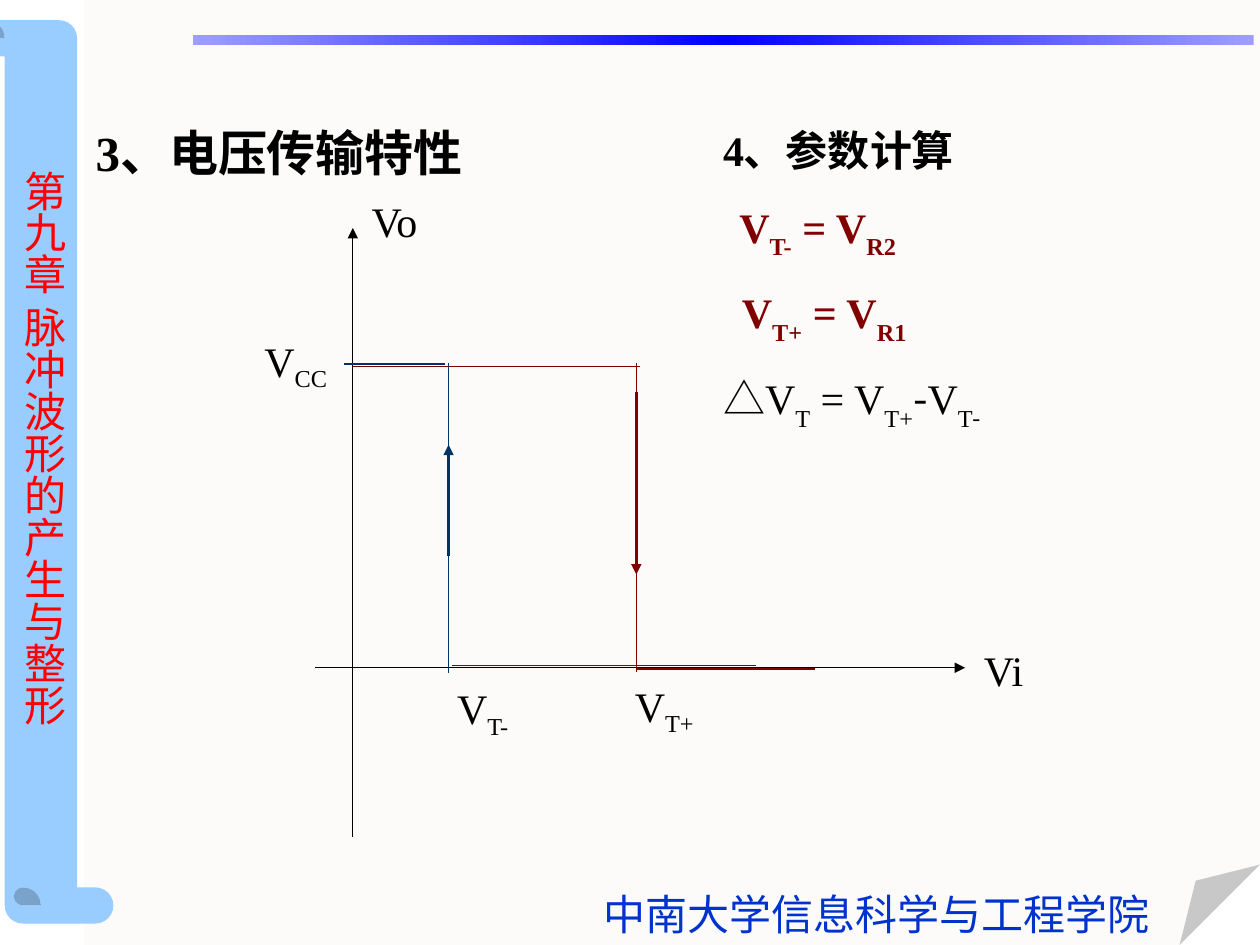
"""Build the voltage transfer characteristic slide."""
from copy import deepcopy
from dataclasses import dataclass
from typing import NamedTuple

from lxml import etree
from pptx import Presentation
from pptx.dml.color import RGBColor
from pptx.enum.shapes import MSO_CONNECTOR, MSO_SHAPE
from pptx.enum.text import MSO_ANCHOR, MSO_AUTO_SIZE, PP_ALIGN
from pptx.oxml.ns import qn
from pptx.util import Inches, Pt

STRAIGHT = MSO_CONNECTOR.STRAIGHT
RECT, FOLDED, SCROLL = MSO_SHAPE.RECTANGLE, MSO_SHAPE.FOLDED_CORNER, MSO_SHAPE.HORIZONTAL_SCROLL
LEFT, JUSTIFY = PP_ALIGN.LEFT, PP_ALIGN.JUSTIFY
TOP, GROW = MSO_ANCHOR.TOP, MSO_AUTO_SIZE.SHAPE_TO_FIT_TEXT
TIMES, NOTO = "Times New Roman", "Noto Sans CJK SC"
BLACK, MAROON, NAVY = "000000", "800000", "003366"


class Run(NamedTuple):
    text: str
    base: int = 0
    font: str = TIMES


@dataclass
class Para:
    runs: list[Run]
    size: float = 24
    color: str = BLACK
    bold: bool = False
    indent: float = 0
    before: float = 0
    align: PP_ALIGN = LEFT


@dataclass
class Label:
    at: tuple[float, float, float, float]
    paras: list[Para]
    wrap: bool = True
    vertical: bool = False


class Line(NamedTuple):
    start: tuple[float, float]
    end: tuple[float, float]
    color: str
    width: float = 0.75
    arrow: bool = False


def rgb(value: str) -> RGBColor:
    """Turn a hex string into a colour."""
    return RGBColor.from_string(value)


def add_panel(shapes, kind: MSO_SHAPE, at: tuple, color: str, adj: float | None = None, rotation: float = 0):
    """Add a filled shape without outline or shadow."""
    sp = shapes.add_shape(kind, *map(Inches, at))
    sp.shadow.inherit = False
    sp.fill.solid()
    sp.fill.fore_color.rgb = rgb(color)
    sp.line.fill.background()
    sp.rotation = rotation
    if adj is not None:
        guides = sp.element.spPr.find(".//" + qn("a:avLst"))
        guides[:] = []
        etree.SubElement(guides, qn("a:gd"), name="adj", fmla=f"val {round(adj * 100000)}")
    return sp


def set_gradient(sp, edge: str, middle: str) -> None:
    """Fill a shape from edge colour to middle colour and back."""
    sp.fill.gradient()
    sp.fill.gradient_angle = 0
    first = sp.element.spPr.find(".//" + qn("a:gs"))
    first.addnext(deepcopy(first))
    for stop, position, color in zip(sp.fill.gradient_stops, (0, 0.5, 1), (edge, middle, edge)):
        stop.position = position
        stop.color.rgb = rgb(color)


def write(tf, paras: list[Para], wrap: bool = True) -> None:
    """Write formatted paragraphs into a text frame."""
    frame = {"word_wrap": wrap, "auto_size": GROW, "vertical_anchor": TOP,
             "margin_left": Inches(0.1), "margin_right": Inches(0.1),
             "margin_top": Inches(0.05), "margin_bottom": Inches(0.05)}
    for name, value in frame.items():
        setattr(tf, name, value)
    for i, para in enumerate(paras):
        p = tf.add_paragraph() if i else tf.paragraphs[0]
        p.alignment = para.align
        p.line_spacing = 1.0
        p.space_before = Pt(para.before)
        if para.indent:
            p._p.get_or_add_pPr().set("marL", str(Inches(para.indent)))
        for run in para.runs:
            r = p.add_run()
            r.text = run.text
            for name, value in {"name": run.font, "size": Pt(para.size), "bold": para.bold}.items():
                setattr(r.font, name, value)
            r.font.color.rgb = rgb(para.color)
            rPr = r._r.get_or_add_rPr()
            rPr.find(qn("a:latin")).addnext(etree.Element(qn("a:ea"), typeface=NOTO))
            if run.base:
                rPr.set("baseline", str(run.base * 1000))


def add_label(shapes, label: Label) -> None:
    """Add a text box."""
    tf = shapes.add_textbox(*map(Inches, label.at)).text_frame
    write(tf, label.paras, label.wrap)
    if label.vertical:
        tf._txBody.bodyPr.set("vert", "eaVert")
        tf.margin_left = tf.margin_right = Inches(0.05)
        tf.margin_top = tf.margin_bottom = Inches(0.1)


def add_line(shapes, line: Line) -> None:
    """Add a straight line, with an arrowhead at its end when asked."""
    c = shapes.add_connector(STRAIGHT, *map(Inches, line.start + line.end))
    c.line.color.rgb = rgb(line.color)
    c.line.width = Pt(line.width)
    if line.arrow:
        etree.SubElement(c.element.spPr.find(qn("a:ln")), qn("a:tailEnd"), type="triangle")
    etree.SubElement(c.element.spPr, qn("a:effectLst"))


def symbol(sub: str, base: int = -25, lead: str = "V") -> list[Run]:
    """Return a letter followed by its subscript."""
    return [Run(lead), Run(sub, base)]


def equation(left: str, right: str, indent: float) -> Para:
    """Return a bold equation of two voltages."""
    runs = symbol(left, -30) + symbol(right, -30, " = V")
    return Para(runs, color=MAROON, bold=True, indent=indent, before=15)


AXES = [Line((2.5, 5.3), (7.66, 5.3), BLACK, arrow=True),
        Line((2.8, 6.64), (2.8, 1.81), BLACK, arrow=True)]
FALLING = [Line((2.8, 2.91), (5.08, 2.91), MAROON),
           Line((5.05, 2.88), (5.05, 5.33), MAROON),
           Line((5.05, 3.11), (5.05, 4.56), MAROON, 1.5, True),
           Line((5.05, 5.31), (6.47, 5.31), MAROON)]
RISING = [Line((6, 5.28), (3.59, 5.28), NAVY),
          Line((3.56, 5.34), (3.56, 2.88), NAVY),
          Line((3.56, 4.41), (3.56, 3.53), NAVY, 1.5, True),
          Line((3.53, 2.89), (2.73, 2.89), NAVY)]
FRAME_LABELS = [
    Label((4.69, 7, 4.53, 0.5), [Para([Run("中南大学信息科学与工程学院")], color="0033CC")], False),
    Label((0, 1.25, 0.6, 4.6), [Para([Run("第九章 脉冲波形的产生与整形", font=NOTO)], color="FF0000")],
          False, True),
]
AXIS_LABELS = [Label((7.71, 5.07, 0.53, 0.5), [Para([Run("Vi")])], False),
               Label((2.85, 1.5, 0.61, 0.5), [Para([Run("Vo")])], False)]
LEVEL_LABELS = [Label((x, y, 0.86, 0.56), [Para(symbol(sub))])
                for x, y, sub in ((2, 2.61, "CC"), (3.53, 5.37, "T-"), (4.94, 5.35, "T+"))]
HYSTERESIS = [Run("△", font=NOTO), *symbol("T", -30), *symbol("T+", -30, " = V"),
              Run("-", font=NOTO), *symbol("T", -30), Run("-", -30, NOTO)]
PARAMETERS = Label((5.64, 0.94, 3.03, 2.54), [
    Para([Run("4、参数计算")], bold=True),
    equation("T-", "R2", 0.13),
    equation("T+", "R1", 0.15),
    Para(HYSTERESIS, before=15),
])


def main() -> None:
    """Build and save the slide."""
    prs = Presentation()
    prs.slide_width, prs.slide_height = Inches(10), Inches(7.5)
    s = prs.slides.add_slide(prs.slide_layouts[5])
    add_panel(s.shapes, FOLDED, (0.67, 0, 9.33, 7.5), "FCFBFA", 0.085)
    add_panel(s.shapes, SCROLL, (-3.26, 3.17, 7.17, 1.15), "99CCFF", 0.25, 270)
    set_gradient(add_panel(s.shapes, RECT, (1.53, 0.28, 8.42, 0.08), "0000FF"), "9E9EFF", "0000FF")
    for label in FRAME_LABELS:
        add_label(s.shapes, label)

    title = s.shapes.title
    title.element.getparent().append(title.element)
    title.left, title.top, title.width, title.height = map(Inches, (0.66, 0.92, 8.25, 0.57))
    write(title.text_frame, [Para([Run("3、电压传输特性")], size=28, bold=True, align=JUSTIFY)])

    axes = s.shapes.add_group_shape().shapes
    for line in AXES:
        add_line(axes, line)
    for label in AXIS_LABELS:
        add_label(axes, label)
    for label in LEVEL_LABELS:
        add_label(s.shapes, label)
    for curve in (FALLING, RISING):
        group = s.shapes.add_group_shape().shapes
        for line in curve:
            add_line(group, line)
    add_label(s.shapes, PARAMETERS)
    prs.save("out.pptx")


if __name__ == "__main__":
    main()
